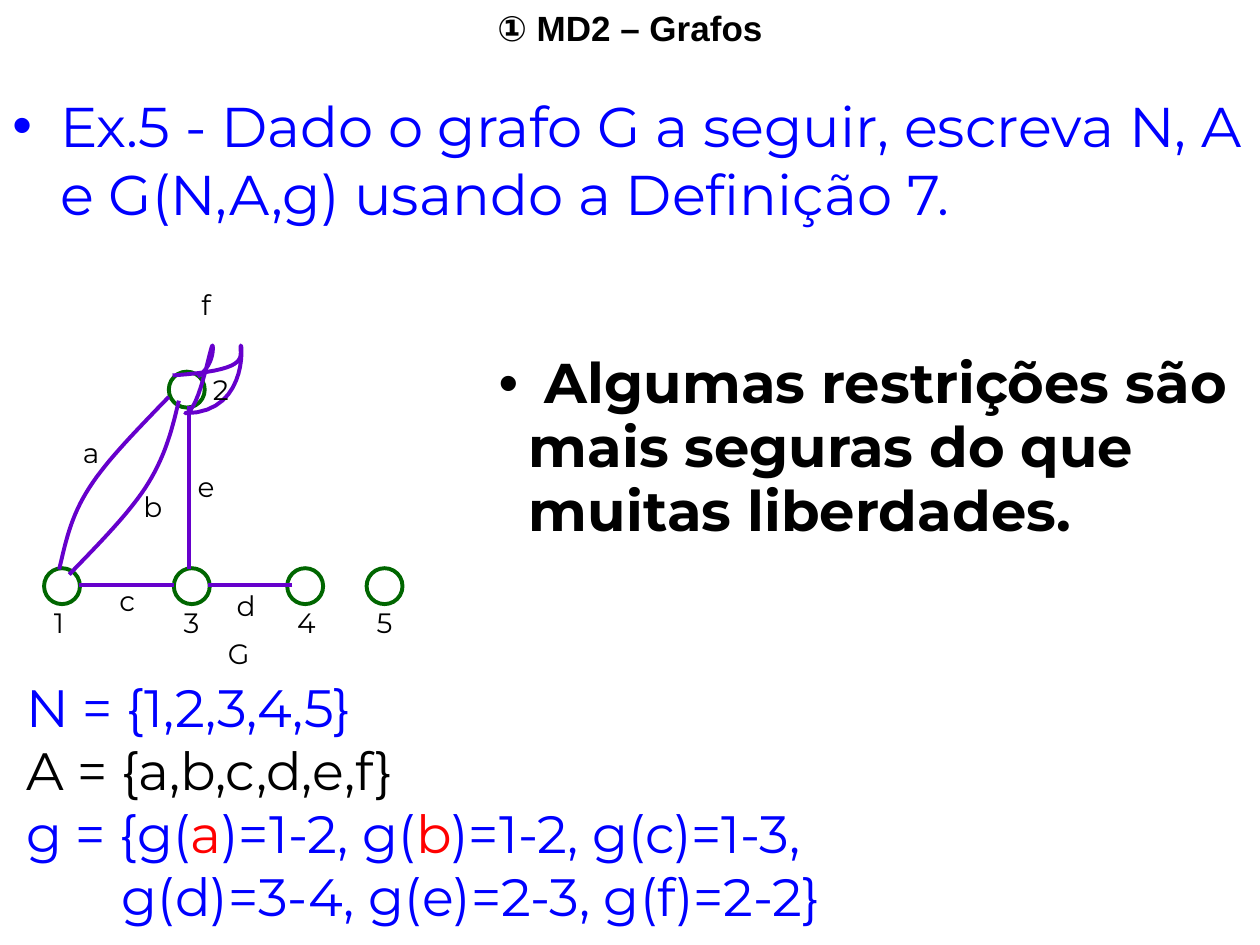
from lxml import etree
from pptx import Presentation
from pptx import util as u
from pptx.dml.color import RGBColor
from pptx.enum import shapes, text
from pptx.oxml.ns import qn

BLACK, BLUE, RED, GREEN, PURPLE = "000000", "0000FF", "FF0000", "006600", "6600CC"
FONT = "Montserrat"

# Text: each paragraph is a list of (text, colour) runs
TITLE = [[("① MD2 – Grafos", BLACK)]]
QUESTION = [[("Ex.5 - Dado o grafo G a seguir, escreva N, A e G(N,A,g) "
              "usando a Definição 7.", BLUE)]]
QUOTE = [[(" Algumas restrições são mais seguras do que muitas liberdades.", BLACK)]]
ANSWER = [
    [("N = {1,2,3,4,5}", BLUE)],
    [("A = {a,b,c,d,e,f}", BLACK)],
    [("g = {g(", BLUE), ("a", RED), (")=1-2, g(", BLUE), ("b", RED),
     (")=1-2, g(c)=1-3,", BLUE)],
    [("g(d)=3-4, g(e)=2-3, g(f)=2-2}", BLUE)],
]
ANSWER_INDENTS = [0.11, 0.11, 0.11, 0.87]

# Graph: node corners, straight edges, curved edges (start, then Bezier segments)
NODE_SIZE = 0.285
NODES = [(0.35, 4.51), (1.34, 2.95), (1.38, 4.51), (2.28, 4.51), (2.91, 4.51)]
STRAIGHT_EDGES = [((0.63, 4.64), (1.38, 4.64)),
                  ((1.5, 3.22), (1.5, 4.52)),
                  ((2.32, 4.64), (1.65, 4.64))]
CURVED_EDGES = {
    "a": ((0.47, 4.52), [((0.52, 4.31), (0.56, 4.1), (0.71, 3.87)),
                         ((0.85, 3.65), (1.1, 3.4), (1.34, 3.15))]),
    "b": ((1.42, 3.18), [((1.37, 3.39), (1.32, 3.6), (1.18, 3.83)),
                         ((1.04, 4.06), (0.79, 4.31), (0.55, 4.56))]),
    "f": ((1.37, 2.98), [((1.96, 2.94), (1.91, 2.85), (1.91, 2.76)),
                         ((1.91, 2.62), (2.01, 3.28), (1.47, 3.28)),
                         ((1.59, 3.28), (1.69, 2.62), (1.69, 2.76)),
                         ((1.69, 2.86), (1.64, 2.94), (1.57, 2.99))]),
}
# Label: left, top, width
LABELS = {
    "1": (0.33, 4.76, 0.32), "2": (1.59, 2.91, 0.32), "3": (1.36, 4.76, 0.32),
    "4": (2.26, 4.76, 0.32), "5": (2.89, 4.76, 0.32), "G": (1.71, 5, 0.36),
    "a": (0.56, 3.41, 0.32), "b": (1.04, 3.84, 0.33), "c": (0.85, 4.58, 0.3),
    "d": (1.78, 4.62, 0.33), "e": (1.47, 3.68, 0.32), "f": (1.5, 2.23, 0.27),
}

deck = Presentation()
deck.slide_width, deck.slide_height = u.Inches(10), u.Inches(7.5)
page = deck.slides.add_slide(deck.slide_layouts[6])


def rgb(value):
    return RGBColor.from_string(value)


def add_text(place, paragraphs, size, font=FONT, bold=False, align=text.PP_ALIGN.LEFT,
             wrap=True, indents=None, bullet=None, spacing=None):
    box = page.shapes.add_textbox(*map(u.Inches, place))
    frame = box.text_frame
    frame.word_wrap = wrap
    for i, runs in enumerate(paragraphs):
        para = frame.add_paragraph() if i else frame.paragraphs[0]
        para.alignment = align
        if spacing:
            para.line_spacing = spacing
        props = para._p.get_or_add_pPr()
        if indents:
            props.set("marL", str(u.Inches(indents[i])))
        if bullet:
            props.set("indent", str(-u.Inches(indents[i])))
            colour = etree.SubElement(props, qn("a:buClr"))
            etree.SubElement(colour, qn("a:srgbClr"), val=bullet)
            etree.SubElement(props, qn("a:buFont"), typeface="Arial")
            etree.SubElement(props, qn("a:buChar"), char="•")
        for words, colour in runs:
            span = para.add_run()
            span.text = words
            span.font.size, span.font.name, span.font.bold = u.Pt(size), font, bold
            span.font.color.rgb = rgb(colour)


def set_line(shape, colour):
    shape.line.color.rgb = rgb(colour)
    shape.line.width = u.Pt(2.25)


def curve_points(start, segments, steps=16):
    """Sample a chain of cubic Bezier segments, in whole length units."""
    points = [tuple(map(u.Inches, start))]
    for c1, c2, end in segments:
        for n in range(1, steps + 1):
            t = n / steps
            points.append(tuple(
                u.Inches((1 - t) ** 3 * a + 3 * (1 - t) ** 2 * t * b
                         + 3 * (1 - t) * t * t * c + t ** 3 * d)
                for a, b, c, d in zip(start, c1, c2, end)))
        start = end
    return points


# Title, question, answer and quote
add_text((0, 0, 10, 0.44), TITLE, 20, font="Arial", bold=True, align=text.PP_ALIGN.CENTER)
add_text((0, 0.68, 10, 1.17), QUESTION, 32, indents=[0.38], bullet=BLUE)
add_text((0, 5.31, 10, 2.1), ANSWER, 30, indents=ANSWER_INDENTS)
add_text((3.86, 2.75, 6.1, 1.62), QUOTE, 32, bold=True, indents=[0.24], bullet=BLACK,
         spacing=0.95)

# Nodes
for left, top in NODES:
    node = page.shapes.add_shape(shapes.MSO_SHAPE.FLOWCHART_CONNECTOR,
                                 *map(u.Inches, (left, top, NODE_SIZE, NODE_SIZE)))
    node.shadow.inherit = False
    node.fill.solid()
    node.fill.fore_color.rgb = rgb("FFFFFF")
    set_line(node, GREEN)

# Straight edges
for start, end in STRAIGHT_EDGES:
    edge = page.shapes.add_connector(shapes.MSO_CONNECTOR.STRAIGHT,
                                     *map(u.Inches, start + end))
    set_line(edge, PURPLE)
    etree.SubElement(edge._element.spPr, qn("a:effectLst"))

# Curved edges
for start, segments in CURVED_EDGES.values():
    first, *rest = curve_points(start, segments)
    builder = page.shapes.build_freeform(*first)
    builder.add_line_segments(rest, close=False)
    edge = builder.convert_to_shape()
    edge.shadow.inherit = False
    edge.fill.background()
    set_line(edge, PURPLE)

# Node and edge labels
for name, (left, top, width) in LABELS.items():
    add_text((left, top, width, 0.37), [[(name, BLACK)]], 16, wrap=False)

deck.save("out.pptx")
